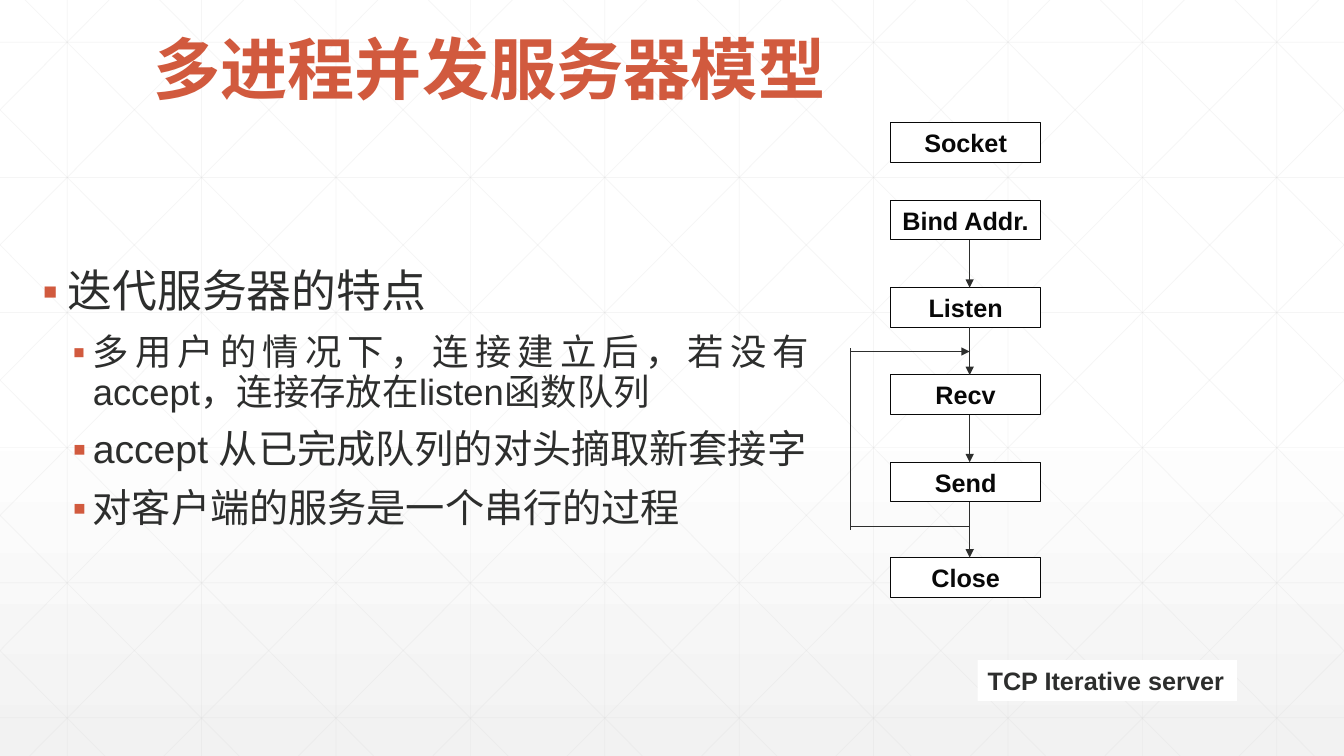
from copy import deepcopy

from lxml import etree
from pptx import Presentation
from pptx.dml.color import RGBColor
from pptx.enum.shapes import MSO_CONNECTOR, MSO_SHAPE
from pptx.enum.text import MSO_ANCHOR, MSO_AUTO_SIZE, PP_ALIGN
from pptx.oxml.ns import qn
from pptx.util import Inches, Pt

RECT = MSO_SHAPE.RECTANGLE
STRAIGHT = MSO_CONNECTOR.STRAIGHT
TOP, MIDDLE, BOTTOM = MSO_ANCHOR.TOP, MSO_ANCHOR.MIDDLE, MSO_ANCHOR.BOTTOM
LEFT, CENTER, JUSTIFY = PP_ALIGN.LEFT, PP_ALIGN.CENTER, PP_ALIGN.JUSTIFY
NO_FIT = MSO_AUTO_SIZE.NONE

WHITE = RGBColor(0xFF, 0xFF, 0xFF)
PALE = RGBColor(0xF2, 0xF2, 0xF2)
GRAY = RGBColor(0xD9, 0xD9, 0xD9)
DARK = RGBColor(0x2D, 0x2E, 0x2D)
BLACK = RGBColor(0x08, 0x08, 0x08)
RUST = RGBColor(0xD1, 0x5A, 0x3E)

WIDE, HIGH = Inches(13.33), Inches(7.5)
FONT = "Arial"

BOX_X, BOX_W, BOX_H = 66.25, 11.2, 5.25
STEP = 11.55
FLOW_X, LOOP_X = 72.15, 63.3
STEPS = ["Bind Addr.", "Listen", "Recv", "Send"]
ROWS = [26.5 + STEP * i for i in range(len(STEPS))] + [73.75]

POINTS = [
    ("迭代服务器的特点", 32),
    ("多用户的情况下，连接建立后，若没有accept，连接存放在listen函数队列", 26),
    ("accept 从已完成队列的对头摘取新套接字", 28),
    ("对客户端的服务是一个串行的过程", 28),
]


def across(share):
    return round(WIDE * share / 100)


def down(share):
    return round(HIGH * share / 100)


def area(x, y, w, h):
    return across(x), down(y), across(w), down(h)


def place(shape, x, y, w, h):
    shape.left, shape.top, shape.width, shape.height = area(x, y, w, h)


def write(para, text, size=18, color=DARK, bold=False, align=LEFT,
          before=0, spacing=1.0):
    para.alignment = align
    para.space_before = Pt(before)
    para.line_spacing = spacing
    run = para.add_run()
    run.text = text
    font = run.font
    font.name, font.size, font.bold = FONT, Pt(size), bold
    font.color.rgb = color


def bullet(para, level):
    para.level = level
    props = para._p.get_or_add_pPr()
    indent = Inches(0.2 if level else 0.25)
    props.set("marL", str(Inches(0.5 if level else 0.25)))
    props.set("indent", str(-indent))
    tint = etree.SubElement(props, qn("a:buClr"))
    etree.SubElement(tint, qn("a:srgbClr"), val=str(RUST))
    etree.SubElement(props, qn("a:buFont"), typeface=FONT)
    etree.SubElement(props, qn("a:buChar"), char="▪")


def line(slide, start, end, color=DARK, width=0.75, alpha=None, arrow=False):
    link = slide.shapes.add_connector(
        STRAIGHT, across(start[0]), down(start[1]), across(end[0]), down(end[1]))
    link.line.color.rgb = color
    link.line.width = Pt(width)
    stroke = link.line._get_or_add_ln()
    if alpha:
        tint = stroke.find(".//" + qn("a:srgbClr"))
        etree.SubElement(tint, qn("a:alpha"), val=str(alpha * 1000))
    if arrow:
        etree.SubElement(stroke, qn("a:tailEnd"), type="triangle")
    etree.SubElement(link._element.spPr, qn("a:effectLst"))


def box(slide, text, x, y, w, h, edge=None, anchor=MIDDLE, **fmt):
    shape = slide.shapes.add_shape(RECT, *area(x, y, w, h))
    shape.shadow.inherit = False
    shape.fill.solid()
    shape.fill.fore_color.rgb = WHITE
    if edge is None:
        shape.line.fill.background()
    else:
        shape.line.color.rgb = edge
        shape.line.width = Pt(0.75)
    frame = shape.text_frame
    frame.word_wrap = False
    frame.vertical_anchor = anchor
    write(frame.paragraphs[0], text, bold=True, **fmt)


def shade(slide):
    fill = slide.background.fill
    fill.gradient()
    fill.gradient_angle = 270
    first = fill.gradient_stops[0]._gs
    first.addnext(deepcopy(first))
    for stop, color, spot in zip(fill.gradient_stops, (WHITE, WHITE, PALE), (0, 0.53, 1)):
        stop.color.rgb = color
        stop.position = spot


def mesh(slide):
    look = dict(color=GRAY, width=0.5, alpha=25)
    for i in range(10):
        x = 5 + 10 * i
        line(slide, (x, 0), (x, 100), **look)
    for i in range(6):
        y = 5.6 + 17.87 * i
        line(slide, (0, y), (100, y), **look)
    run = 55.92
    for i in range(-5, 10):
        x = 1.88 + 10 * i
        left, right = max(x, 0), min(x + run, 100)
        top, low = ((end - x) / run * 100 for end in (left, right))
        line(slide, (left, top), (right, low), **look)
        line(slide, (100 - left, top), (100 - right, low), **look)


def head(slide):
    title = slide.shapes.title
    slide.shapes._spTree.append(title._element)
    place(title, 10.65, 0, 78.75, 15.07)
    frame = title.text_frame
    frame.auto_size = NO_FIT
    frame.vertical_anchor = BOTTOM
    write(frame.paragraphs[0], "多进程并发服务器模型", size=48, color=RUST,
          bold=True, spacing=0.9)


def body(slide):
    holder = slide.placeholders[1]
    slide.shapes._spTree.append(holder._element)
    place(holder, 2.4, 34.93, 58.58, 40)
    frame = holder.text_frame
    frame.auto_size = NO_FIT
    frame.vertical_anchor = TOP
    for i, (text, size) in enumerate(POINTS):
        para = frame.add_paragraph() if i else frame.paragraphs[0]
        bullet(para, 1 if i else 0)
        write(para, text, size=size, align=JUSTIFY, before=12 if i else 0,
              spacing=0.9)


def flow(slide):
    for text, y in zip(["Socket"] + STEPS + ["Close"], [16.27] + ROWS):
        box(slide, text, BOX_X, y, BOX_W, BOX_H, edge=BLACK, color=BLACK,
            align=CENTER)
    for y, low in zip(ROWS, ROWS[1:]):
        line(slide, (FLOW_X, y + BOX_H), (FLOW_X, low), arrow=True)
    line(slide, (FLOW_X, 69.6), (LOOP_X, 69.6))
    line(slide, (LOOP_X, 70.1), (LOOP_X, 46))
    line(slide, (LOOP_X, 46.5), (FLOW_X, 46.5), arrow=True)


def main():
    deck = Presentation()
    deck.slide_width, deck.slide_height = WIDE, HIGH
    slide = deck.slides.add_slide(deck.slide_layouts[1])
    shade(slide)
    mesh(slide)
    head(slide)
    body(slide)
    flow(slide)
    box(slide, "TCP Iterative server", 72.75, 87.3, 19.28, 5.4, anchor=TOP)
    deck.save("out.pptx")


if __name__ == "__main__":
    main()
